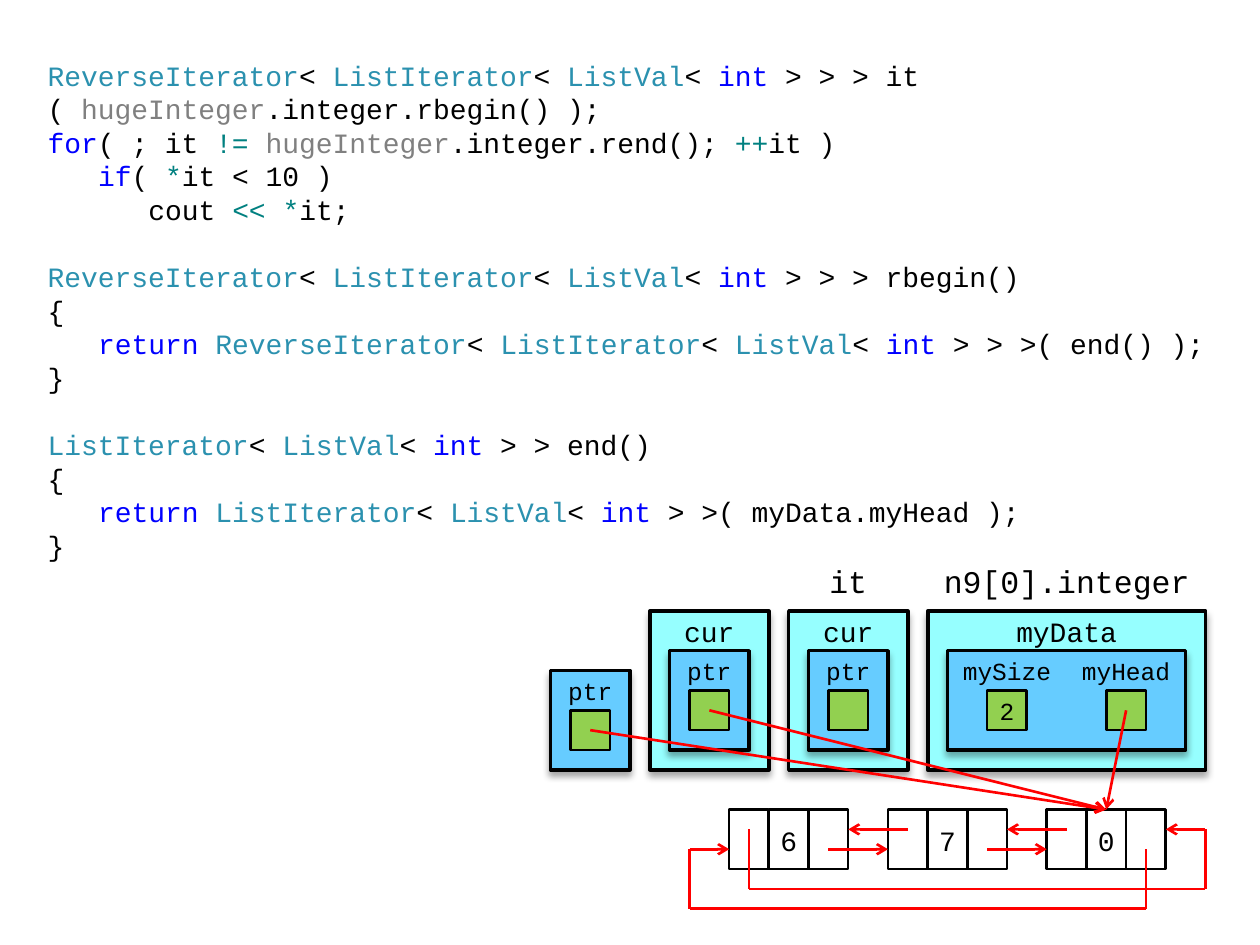
from itertools import groupby

from lxml.etree import SubElement
from pptx import Presentation
from pptx.dml.color import RGBColor
from pptx.enum.shapes import MSO_CONNECTOR, MSO_SHAPE
from pptx.enum.text import MSO_ANCHOR, PP_ALIGN
from pptx.oxml.ns import qn
from pptx.util import Inches, Pt

FONT = "Courier New"
BLACK, RED, GREEN = "000000", "FF0000", "92D050"
CYAN, BLUE = "96FFFF", "66CCFF"
UNIT = 0.63 / 4  # the diagram sits on a square grid
LINE_PITCH = 19.2
TOKEN_COLORS = {
    **dict.fromkeys(["ReverseIterator", "ListIterator", "ListVal"], "2B91AF"),
    **dict.fromkeys(["int", "for", "if", "return"], "0000FF"),
    **dict.fromkeys(["!=", "++", "<<", "*"], "008080"),
    "hugeInteger": "808080",
}
# Each block is a list of (indent level, line).
CODE = [
    [
        (0, "ReverseIterator< ListIterator< ListVal< int > > > it ( hugeInteger.integer.rbegin() );"),
        (0, "for( ; it != hugeInteger.integer.rend(); ++it )"),
        (1, "if( *it < 10 )"),
        (2, "cout << *it;"),
    ],
    [
        (0, "ReverseIterator< ListIterator< ListVal< int > > > rbegin()"),
        (0, "{"),
        (1, "return ReverseIterator< ListIterator< ListVal< int > > >( end() );"),
        (0, "}"),
    ],
    [
        (0, "ListIterator< ListVal< int > > end()"),
        (0, "{"),
        (1, "return ListIterator< ListVal< int > >( myData.myHead );"),
        (0, "}"),
    ],
]


def color(hex_string):
    return RGBColor.from_string(hex_string)


def grid(column, row):
    """Slide position of a grid point of the diagram."""
    return Inches(4.37 + column * UNIT), Inches(4.85 + row * UNIT)


def grid_box(column, row, width, height):
    return *grid(column, row), Inches(width * UNIT), Inches(height * UNIT)


def char_kind(char):
    return "word" if char.isalnum() else "space" if char.isspace() else "symbol"


def colored_spans(line):
    """Split a line of code into (colour, text) pairs."""
    tokens = ["".join(chars) for _, chars in groupby(line, char_kind)]
    for hex_string, group in groupby(tokens, lambda token: TOKEN_COLORS.get(token, BLACK)):
        yield hex_string, "".join(group)


def add_code(page, left, top, width, height):
    frame = page.shapes.add_textbox(left, top, width, height).text_frame
    frame.word_wrap = True
    frame.vertical_anchor = MSO_ANCHOR.MIDDLE
    frame.margin_top = 0
    para = frame.paragraphs[0]
    for block_number, block in enumerate(CODE):
        for line_number, (level, line) in enumerate(block):
            if block_number or line_number:
                para = frame.add_paragraph()
            if block_number and not line_number:
                para.space_before = Pt(LINE_PITCH)
            para.line_spacing = Pt(LINE_PITCH)
            para.font.name, para.font.size = FONT, Pt(16)
            para._p.get_or_add_pPr().set("marL", str(Inches(0.4 * level)))
            for hex_string, text in colored_spans(line):
                span = para.add_run()
                span.text = text
                span.font.color.rgb = color(hex_string)


def write_centered(shape, text, size):
    frame = shape.text_frame
    frame.word_wrap = True
    frame.vertical_anchor = MSO_ANCHOR.MIDDLE
    frame.margin_left = frame.margin_right = 0
    para = frame.paragraphs[0]
    para.text, para.alignment = text, PP_ALIGN.CENTER
    para.font.name, para.font.size = FONT, Pt(size)
    para.font.color.rgb = color(BLACK)


def add_label(page, box, text, size):
    write_centered(page.shapes.add_textbox(*grid_box(*box)), text, size)


def add_box(page, box, fill=None, line=1.5, kind=MSO_SHAPE.RECTANGLE):
    shape = page.shapes.add_shape(kind, *grid_box(*box))
    shape.shadow.inherit = False
    if fill:
        shape.fill.solid()
        shape.fill.fore_color.rgb = color(fill)
    else:
        shape.fill.background()
    shape.line.color.rgb = color(BLACK)
    shape.line.width = Pt(line)
    return shape


def add_panel(page, box, fill, line=2):
    """Box that casts a soft shadow straight down."""
    shape = add_box(page, box, fill, line, MSO_SHAPE.FLOWCHART_PROCESS)
    effects = shape._element.spPr.find(qn("a:effectLst"))
    shadow = SubElement(effects, qn("a:outerShdw"), blurRad=str(Pt(4)),
                        dist=str(Pt(3)), dir="5400000", rotWithShape="0")
    tint = SubElement(shadow, qn("a:srgbClr"), val=BLACK)
    SubElement(tint, qn("a:alpha"), val="35000")


def add_line(page, start, end, arrow=False):
    line = page.shapes.add_connector(MSO_CONNECTOR.STRAIGHT, *grid(*start), *grid(*end))
    line.line.color.rgb = color(RED)
    line.line.width = Pt(1.5)
    if arrow:
        SubElement(line.line._get_or_add_ln(), qn("a:tailEnd"), type="arrow")
    SubElement(line._element.spPr, qn("a:effectLst"))
    return line


def add_route(page, *points):
    """Run of straight lines that ends in an arrowhead."""
    for start, end in zip(points, points[1:]):
        add_line(page, start, end, arrow=end == points[-1])


def add_pointer(page, column, row):
    add_panel(page, (column, row, 4, 5), BLUE)
    add_label(page, (column, row, 4, 2), "ptr", 14)
    add_box(page, (column + 1, row + 2, 2, 2), GREEN)


def add_iterator(page, column, row):
    add_panel(page, (column, row, 6, 8), CYAN)
    add_label(page, (column + 1, row, 4, 2), "cur", 16)
    add_pointer(page, column + 1, row + 2)


def add_list_object(page, column, row):
    add_panel(page, (column, row, 14, 8), CYAN, 2.25)
    add_label(page, (column, row - 3, 14, 3), "n9[0].integer", 18)
    add_label(page, (column + 3, row, 8, 2), "myData", 16)
    add_panel(page, (column + 1, row + 2, 12, 5), BLUE)
    for offset, name, value in [(1, "mySize", "2"), (7, "myHead", "")]:
        add_label(page, (column + offset, row + 2, 6, 2), name, 14)
        field = add_box(page, (column + offset + 2, row + 4, 2, 2), GREEN)
        if value:
            write_centered(field, value, 14)


def add_node(page, column, row, value):
    """Three-cell list node; returns its middle cell."""
    cells = [add_box(page, (column + 2 * index, row, 2, 3)) for index in range(3)]
    write_centered(cells[1], value, 16)
    cells[1].text_frame.margin_top = Inches(0.06)
    cells[1].text_frame.margin_bottom = Inches(0.04)
    return cells[1]


def add_linked_list(page, column, row, values):
    """Circular doubly linked list; returns the middle cell of its last node."""
    step = 8
    columns = [column + step * index for index in range(len(values))]
    for node_column, value in zip(columns, values):
        last_cell = add_node(page, node_column, row, value)
    back, forward = row + 1, row + 2
    for here, following in zip(columns, columns[1:]):
        add_route(page, (following + 1, back), (here + 6, back))
        add_route(page, (here + 5, forward), (following, forward))
    first, last = columns[0], columns[-1]
    add_route(page, (first + 1, back), (first + 1, row + 4), (last + 8, row + 4),
              (last + 8, back), (last + 6, back))
    add_route(page, (last + 5, forward), (last + 5, row + 5), (first - 2, row + 5),
              (first - 2, forward), (first, forward))
    return last_cell


def main():
    deck = Presentation()
    deck.slide_width, deck.slide_height = Inches(10), Inches(7.5)
    page = deck.slides.add_slide(deck.slide_layouts[6])
    add_code(page, Inches(0.28), Inches(0.44), Inches(9.45), Inches(4.09))
    add_pointer(page, 0, 3)
    add_iterator(page, 5, 0)
    add_iterator(page, 12, 0)
    add_label(page, (13, -3, 4, 3), "it", 18)
    add_list_object(page, 19, 0)
    head_cell = add_linked_list(page, 9, 10, "670")
    for start in [(29, 5), (2, 6), (8, 5)]:
        add_line(page, start, (28, 10), arrow=True).end_connect(head_cell, 0)
    deck.save("out.pptx")


if __name__ == "__main__":
    main()
